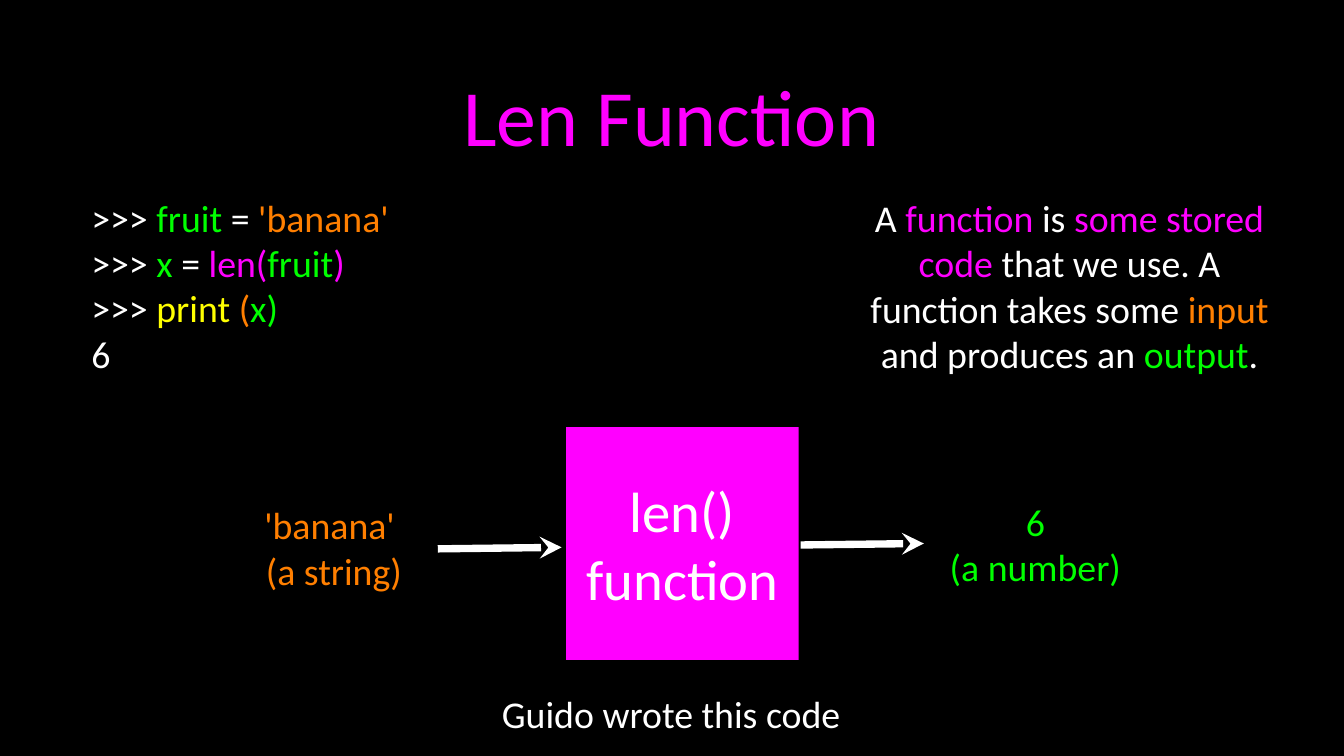
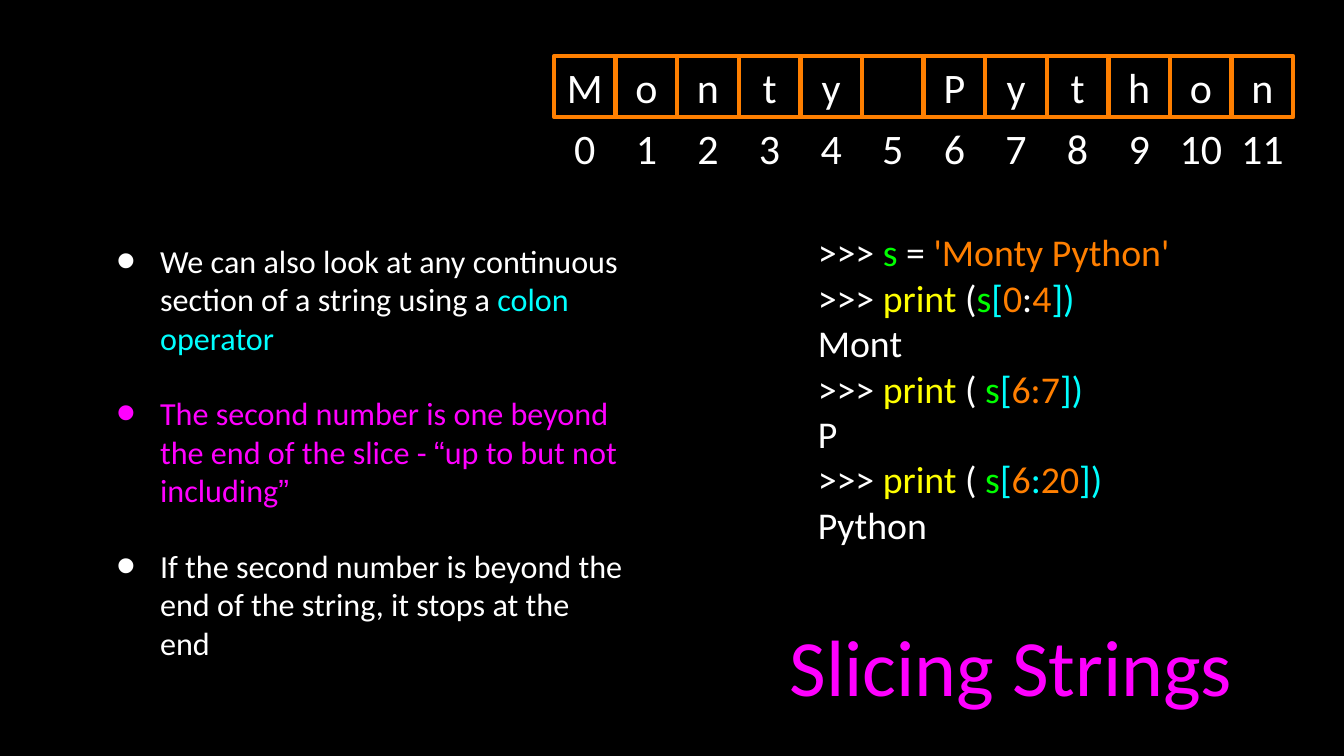
from lxml import etree
from pptx import Presentation
from pptx.dml.color import RGBColor
from pptx.enum.shapes import MSO_CONNECTOR, MSO_SHAPE
from pptx.enum.text import MSO_ANCHOR, PP_ALIGN
from pptx.oxml.ns import qn
from pptx.util import Cm, Pt

rgb = RGBColor.from_string
BLACK, WHITE, YELLOW, CYAN = "000000", "FFFFFF", "FFFF00", "00FFFF"
MAGENTA, ORANGE, GREEN = "FF00FF", "FF7F00", "00FF00"
FONT, QUOTE_FONT = "Calibri", "Arial"
LEFT, CENTER = PP_ALIGN.LEFT, PP_ALIGN.CENTER
TITLE_SIZE, BOX_SIZE, CELL_SIZE, CODE_SIZE, BULLET_SIZE = 76, 54, 40, 36, 30.6
PROMPT = (">>> ", WHITE)
PRINT = ("print", YELLOW)


def write(sp, lines, size, align=CENTER, inset=0):
    """Fill a shape with lines, each a list of (text, colour[, font]) runs."""
    tf = sp.text_frame
    frame = {"word_wrap": True, "vertical_anchor": MSO_ANCHOR.MIDDLE}
    frame |= {f"margin_{side}": Cm(inset) for side in ("left", "top", "right", "bottom")}
    for name, value in frame.items():
        setattr(tf, name, value)
    for i, runs in enumerate(lines):
        p = tf.add_paragraph() if i else tf.paragraphs[0]
        p.alignment = align
        for text, color, *font in runs:
            r = p.add_run()
            r.text = text
            r.font.name = font[0] if font else FONT
            r.font.size = Pt(size)
            r.font.color.rgb = rgb(color)


def text_box(s, at, lines, size, align=CENTER, inset=0):
    sp = s.shapes.add_textbox(*map(Cm, at))
    write(sp, lines, size, align, inset)
    return sp


prs = Presentation()
prs.slide_width, prs.slide_height = Cm(45.16), Cm(25.4)

# Slides with their titles
slides = []
for title, at in [
    ("Len Function", (3.2, 0.66, 38.71, 6.38)),
    ("Slicing Strings", (24.69, 19.66, 18.57, 5.33)),
]:
    s = prs.slides.add_slide(prs.slide_layouts[6])
    s.background.fill.solid()
    s.background.fill.fore_color.rgb = rgb(BLACK)
    text_box(s, at, [[(title, MAGENTA)]], TITLE_SIZE, inset=0.1)
    slides.append(s)
len_slide, slicing_slide = slides

# Len function: code and explanation
text_box(len_slide, (3.07, 6.53, 11.48, 6.1), [
    [PROMPT, ("fruit ", GREEN), ("= ", WHITE), ("'banana'", ORANGE)],
    [PROMPT, ("x ", GREEN), ("= ", WHITE), ("len(", MAGENTA), ("fruit", GREEN), (")", MAGENTA)],
    [PROMPT, PRINT, (" (", ORANGE), ("x)", GREEN)],
    [("6", WHITE)],
], CODE_SIZE, LEFT)
text_box(len_slide, (29.08, 6.55, 13.72, 6.07), [[
    ("A ", WHITE), ("function", MAGENTA), (" is ", WHITE), ("some stored code", MAGENTA),
    (" that we use. A function takes some ", WHITE), ("input", ORANGE),
    (" and produces an ", WHITE), ("output", GREEN), (".", WHITE),
]], CODE_SIZE)

# Len function: input, function box, output
box = len_slide.shapes.add_shape(MSO_SHAPE.RECTANGLE, Cm(19.02), Cm(14.35), Cm(7.82), Cm(7.82))
box.shadow.inherit = False
box.fill.solid()
box.fill.fore_color.rgb = rgb(MAGENTA)
box.line.fill.background()
write(box, [[("len()", WHITE)], [("function", WHITE)]], BOX_SIZE)

for at, lines, color in [
    ((8.53, 16.87, 5.38, 3.05), ("'banana' ", "(a string)"), ORANGE),
    ((31.5, 16.74, 6.58, 3.05), ("6", "(a number)"), GREEN),
    ((16, 23.22, 13.11, 1.52), ("Guido wrote this code",), WHITE),
]:
    text_box(len_slide, at, [[(line, color)] for line in lines], CODE_SIZE)

for ends in [(14.71, 18.44, 18.87, 18.39), (26.9, 18.31, 31.04, 18.26)]:
    arrow = len_slide.shapes.add_connector(MSO_CONNECTOR.STRAIGHT, *map(Cm, ends))
    arrow.line.width = Pt(7)
    arrow.line.color.rgb = rgb(WHITE)
    etree.SubElement(arrow.line._get_or_add_ln(), qn("a:tailEnd"), type="stealth")
    etree.SubElement(arrow._element.spPr, qn("a:effectLst"))

# Slicing: bullets
bullets = text_box(slicing_slide, (3.2, 7.24, 17.88, 15.85), [
    [("We can also look at any continuous section of a string using a ", WHITE),
     ("colon operator", CYAN)],
    [("The second number is one beyond the end of the slice - ", MAGENTA),
     ("“", MAGENTA, QUOTE_FONT), ("up to but not including", MAGENTA),
     ("”", MAGENTA, QUOTE_FONT)],
    [("If the second number is beyond the end of the string, it stops at the end", WHITE)],
], BULLET_SIZE, LEFT, inset=0.1)
for i, (p, color) in enumerate(zip(bullets.text_frame.paragraphs, (WHITE, MAGENTA, WHITE))):
    pPr = p._p.get_or_add_pPr()
    pPr.set("marL", str(Cm(2.08)))
    pPr.set("indent", str(Cm(-1.47)))
    buClr = etree.SubElement(pPr, qn("a:buClr"))
    etree.SubElement(buClr, qn("a:srgbClr"), val=color)
    etree.SubElement(pPr, qn("a:buSzPct"), val="171000")
    etree.SubElement(pPr, qn("a:buFont"), typeface="Arial")
    etree.SubElement(pPr, qn("a:buChar"), char="•")
    if i:
        p.space_before = Pt(35)

# Slicing: code
text_box(slicing_slide, (27.48, 7.7, 13.44, 10.67), [
    [PROMPT, ("s", GREEN), (" = ", WHITE), ("'Monty Python'", ORANGE)],
    [PROMPT, PRINT, (" (", WHITE), ("s", GREEN), ("[", CYAN), ("0", ORANGE), (":", WHITE),
     ("4", ORANGE), ("])", CYAN)],
    [("Mont", WHITE)],
    [PROMPT, PRINT, (" ( ", WHITE), ("s", GREEN), ("[", CYAN), ("6:7", ORANGE), ("])", CYAN)],
    [("P", WHITE)],
    [PROMPT, PRINT, (" ( ", WHITE), ("s", GREEN), ("[", CYAN), ("6", ORANGE), (":", CYAN),
     ("20", ORANGE), ("])", CYAN)],
    [("Python", WHITE)],
], CODE_SIZE, LEFT)

# Slicing: letters in cells above their indexes
CELL, PITCH, ROW_LEFT, ROW_TOP = 2.06, 2.07, 18.62, 1.88
for i, letter in enumerate("Monty Python"):
    x = ROW_LEFT + i * PITCH
    text_box(slicing_slide, (x, ROW_TOP + CELL, CELL, CELL), [[(str(i), WHITE)]], CELL_SIZE)
    cell = slicing_slide.shapes.add_shape(
        MSO_SHAPE.RECTANGLE, Cm(x), Cm(ROW_TOP), Cm(CELL), Cm(CELL))
    cell.shadow.inherit = False
    cell.fill.background()
    cell.line.width = Pt(4)
    cell.line.color.rgb = rgb(ORANGE)
    if letter != " ":
        write(cell, [[(letter, WHITE)]], CELL_SIZE)

prs.save("out.pptx")
